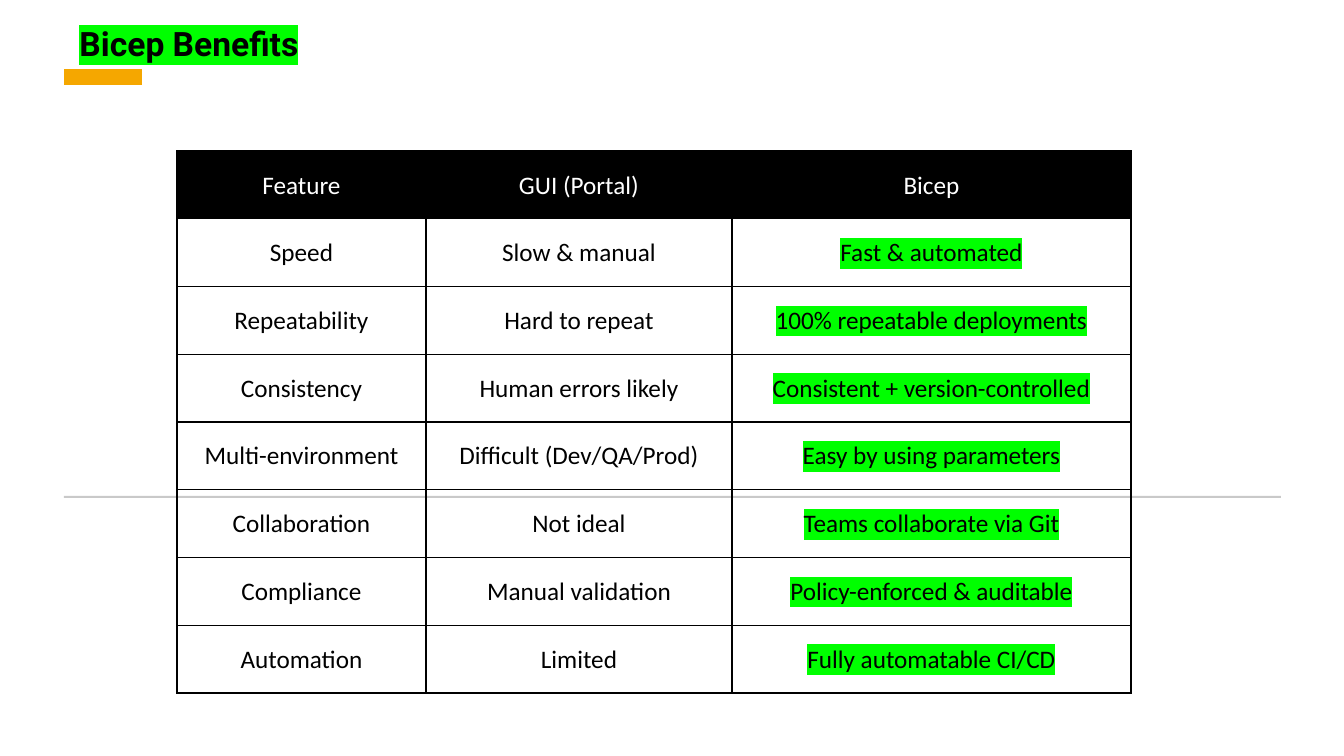
from lxml import etree
from pptx import Presentation
from pptx.dml.color import RGBColor
from pptx.enum.shapes import MSO_SHAPE
from pptx.enum.text import MSO_ANCHOR, MSO_AUTO_SIZE, PP_ALIGN
from pptx.oxml.ns import qn
from pptx.util import Emu, Pt

BLACK = RGBColor(0x00, 0x00, 0x00)
WHITE = RGBColor(0xFF, 0xFF, 0xFF)
ORANGE = RGBColor(0xF5, 0xA7, 0x00)
GREY = RGBColor(0xC9, 0xC9, 0xC9)
GREEN = RGBColor(0x00, 0xFF, 0x00)
RECTANGLE = MSO_SHAPE.RECTANGLE
CENTER = PP_ALIGN.CENTER
MIDDLE = MSO_ANCHOR.MIDDLE
TOP = MSO_ANCHOR.TOP
GROW = MSO_AUTO_SIZE.SHAPE_TO_FIT_TEXT

PX = 914400 / 100.8
COLUMN_WIDTHS = (249, 306, 399)
COMPARISON = (
    ("Feature", "GUI (Portal)", "Bicep"),
    ("Speed", "Slow & manual", "Fast & automated"),
    ("Repeatability", "Hard to repeat", "100% repeatable deployments"),
    ("Consistency", "Human errors likely", "Consistent + version-controlled"),
    ("Multi-environment", "Difficult (Dev/QA/Prod)", "Easy by using parameters"),
    ("Collaboration", "Not ideal", "Teams collaborate via Git"),
    ("Compliance", "Manual validation", "Policy-enforced & auditable"),
    ("Automation", "Limited", "Fully automatable CI/CD"),
)


def px(length):
    """Turn a length in px into EMU."""
    return Emu(round(length * PX))


def assign(target, values):
    """Set each attribute named in a dict of format values."""
    for name, value in values.items():
        setattr(target, name, value)


class Slide:
    """Hold the text styles and the current page."""

    title_font = {"name": "Roboto", "size": Pt(24), "bold": True}
    table_font = {"name": "Calibri", "size": Pt(18), "bold": False}
    cell_format = {
        "vertical_anchor": MIDDLE,
        "margin_left": px(1),
        "margin_top": px(1),
        "margin_right": px(1),
        "margin_bottom": 0,
    }

    def __init__(self, deck):
        """Add a title-only page to the deck."""
        self.page = deck.slides.add_slide(deck.slide_layouts[5])

    def add_text(self, frame, text, font, color, highlight=None):
        """Add one centred line of text."""
        para = frame.paragraphs[0]
        para.alignment = CENTER
        span = para.add_run()
        span.text = text
        assign(span.font, font)
        span.font.color.rgb = color
        if highlight is not None:
            mark = etree.Element(qn("a:highlight"))
            etree.SubElement(mark, qn("a:srgbClr"), val=str(highlight))
            span._r.rPr.find(qn("a:latin")).addprevious(mark)

    def title(self, left, top, width, height, text):
        """Place and fill the highlighted title."""
        box = self.page.shapes.title
        assign(box, {"left": px(left), "top": px(top),
                     "width": px(width), "height": px(height)})
        frame = box.text_frame
        assign(frame, {"word_wrap": True, "auto_size": GROW, "vertical_anchor": TOP})
        self.add_text(frame, text, self.title_font, BLACK, GREEN)

    def bar(self, left, top, width, height, color):
        """Draw a plain filled bar."""
        shape = self.page.shapes.add_shape(
            RECTANGLE, px(left), px(top), px(width), px(height))
        shape.shadow.inherit = False
        shape.fill.solid()
        shape.fill.fore_color.rgb = color
        shape.line.fill.background()

    def border(self, cell):
        """Give a cell a thin black border on each side."""
        properties = cell._tc.get_or_add_tcPr()
        for side in ("a:lnL", "a:lnR", "a:lnT", "a:lnB"):
            line = etree.SubElement(properties, qn(side), w=str(int(Pt(1))))
            fill = etree.SubElement(line, qn("a:solidFill"))
            etree.SubElement(fill, qn("a:srgbClr"), val=str(BLACK))

    def table(self, left, top, height, widths, rows):
        """Draw a table with a black header and a highlighted last column."""
        table = self.page.shapes.add_table(
            len(rows), len(widths), px(left), px(top), px(sum(widths)), px(height)).table
        assign(table, {"first_row": False, "horz_banding": False})
        for column, width in zip(table.columns, widths):
            column.width = px(width)
        for row_index, row in enumerate(rows):
            table.rows[row_index].height = px(height / len(rows))
            for column_index, text in enumerate(row):
                cell = table.cell(row_index, column_index)
                assign(cell, self.cell_format)
                self.border(cell)
                if row_index == 0:
                    cell.fill.solid()
                    cell.fill.fore_color.rgb = BLACK
                    self.add_text(cell.text_frame, text, self.table_font, WHITE)
                else:
                    cell.fill.background()
                    highlight = GREEN if column_index == len(widths) - 1 else None
                    self.add_text(cell.text_frame, text, self.table_font, BLACK, highlight)


def main():
    """Build and save the deck."""
    deck = Presentation()
    assign(deck, {"slide_width": px(1344), "slide_height": px(756)})
    slide = Slide(deck)
    slide.bar(64, 69, 78, 16, ORANGE)
    slide.bar(64, 496, 1217, 2, GREY)
    slide.table(177, 151, 542, COLUMN_WIDTHS, COMPARISON)
    slide.title(-147, 18, 672, 50, "Bicep Benefits")
    deck.save("out.pptx")


if __name__ == "__main__":
    main()
